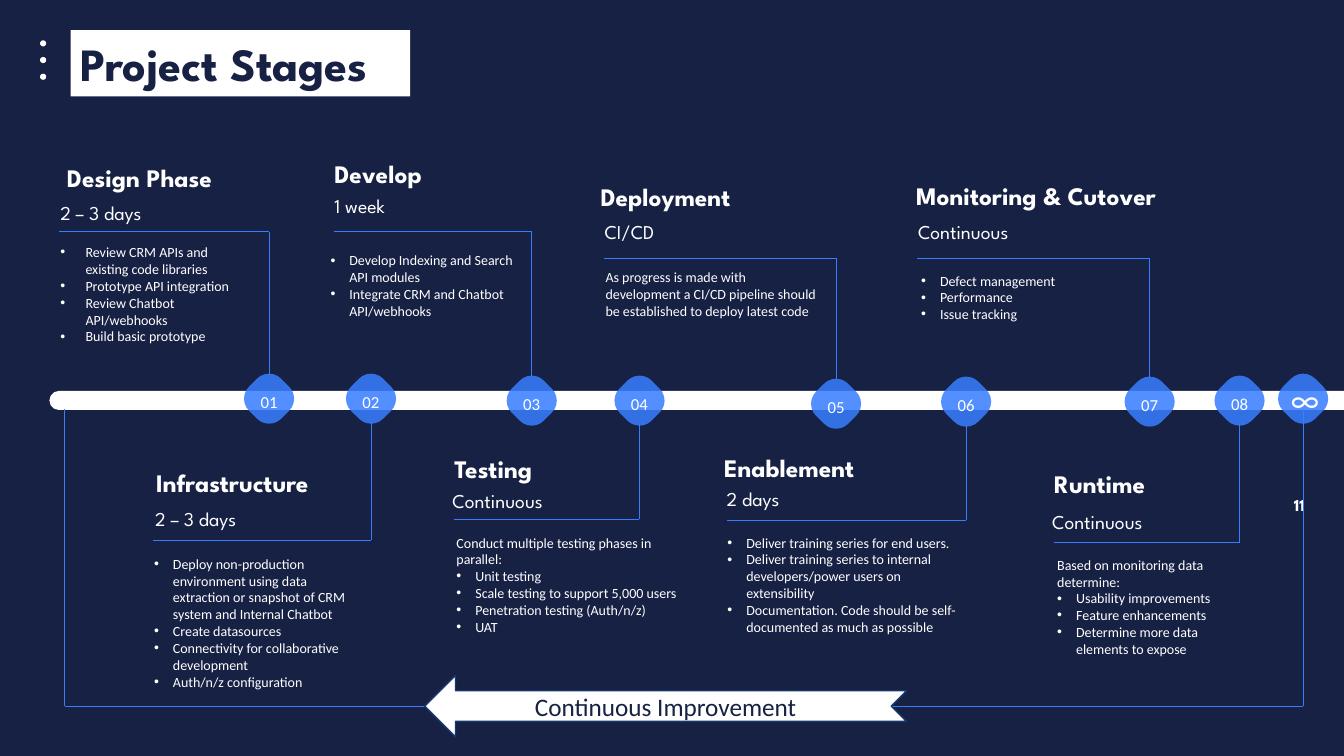
from dataclasses import dataclass
from pptx import Presentation
from pptx.dml.color import RGBColor as RGB
from pptx.enum.shapes import MSO_CONNECTOR as Link, MSO_SHAPE as Preset
from pptx.enum.text import MSO_ANCHOR as Anchor, PP_ALIGN as Align
from pptx.oxml.ns import qn
from pptx.util import Pt
from lxml.etree import SubElement

HEADING = "Project Stages"
LOOP_LABEL = "Continuous Improvement"
PAGE = "11"
STAGES = [
    dict(number="01", name="Design Phase", span="2 – 3 days", intro="", tasks=[
        "Review CRM APIs and existing code libraries", "Prototype API integration",
        "Review Chatbot API/webhooks", "Build basic prototype"],
        marker=(192.2, 284.8), rule=(42, 165.6), indent=18,
        name_at=(40.8, 112.6, 131.8), span_at=(36, 139.7, 81.4), body_at=(36, 170.6, 140.4, 80)),
    dict(number="02", name="Infrastructure", span="2 – 3 days", intro="", tasks=[
        "Deploy non-production environment using data extraction or snapshot of CRM system and Internal Chatbot",
        "Create datasources", "Connectivity for collaborative development", "Auth/n/z configuration"],
        marker=(265, 284.8), rule=(109.4, 385.9), indent=13.5,
        name_at=(104.4, 330.2, 134), span_at=(103.7, 358.4, 81.4), body_at=(103, 393.1, 158.4, 104.4)),
    dict(number="03", name="Develop", span="1 week", intro="", tasks=[
        "Develop Indexing and Search API modules", "Integrate CRM and Chatbot API/webhooks"],
        marker=(379.8, 286.2), rule=(238.3, 165.6), indent=13.5,
        name_at=(231.8, 109.4, 88.6), span_at=(231.8, 134.6, 63.4), body_at=(229, 176.4, 157.7, 55.4)),
    dict(number="04", name="Testing", span="Continuous",
        intro="Conduct multiple testing phases in parallel:", tasks=[
        "Unit testing", "Scale testing to support 5,000 users", "Penetration testing (Auth/n/z)", "UAT"],
        marker=(456.8, 286.2), rule=(324, 370.8), indent=13.5,
        name_at=(317.5, 320.4, 74), span_at=(316.1, 345.6, 91.4), body_at=(319, 378, 175.7, 80)),
    dict(number="05", name="Deployment", span="CI/CD",
        intro="As progress is made with development a CI/CD pipeline should be established to deploy latest code",
        tasks=[], marker=(597.2, 288.4), rule=(431.3, 184.3), indent=13.5,
        name_at=(421.9, 125.6, 122.4), span_at=(424.8, 153.4, 57.6), body_at=(425.5, 188.6, 165.6, 44)),
    dict(number="06", name="Enablement", span="2 days", intro="", tasks=[
        "Deliver training series for end users.",
        "Deliver training series to internal developers/power users on extensibility",
        "Documentation. Code should be self-documented as much as possible"],
        marker=(690.1, 286.9), rule=(519.1, 371.5), indent=13.5,
        name_at=(510.2, 319.4, 130), span_at=(511.9, 344.2, 59), body_at=(512.6, 378, 177.8, 92)),
    dict(number="07", name="Monitoring & Cutover", span="Continuous", intro="", tasks=[
        "Defect management", "Performance", "Issue tracking"],
        marker=(821.2, 286.9), rule=(655.2, 184.3), indent=13.5,
        name_at=(647.3, 125.3, 200), span_at=(648.7, 153.4, 91.4), body_at=(650.9, 190.8, 159.8, 44)),
    dict(number="08", name="Runtime", span="Continuous",
        intro="Based on monitoring data determine:", tasks=[
        "Usability improvements", "Feature enhancements", "Determine more data elements to expose"],
        marker=(885.4, 286.2), rule=(753.1, 387.4), indent=13.5,
        name_at=(745.9, 331.2, 85.7), span_at=(744.5, 360.2, 91.4), body_at=(748.1, 393.8, 137.5, 80)),
]
ENDLESS = dict(number="∞", marker=(930.8, 284.8))


@dataclass(frozen=True)
class Theme:
    navy: RGB = RGB(0x17, 0x21, 0x44)
    white: RGB = RGB(0xFF, 0xFF, 0xFF)
    blue: RGB = RGB(0x37, 0x7D, 0xFF)
    edge: RGB = RGB(0x18, 0x37, 0x70)
    display: str = "League Spartan"
    plain: str = "Calibri"
    heading: float = 33
    name: float = 18
    span: float = 14
    number: float = 12
    endless: float = 24
    body: float = 10


theme = Theme()
MARKER = 32.4
REACH = 17

deck = Presentation()
deck.slide_width, deck.slide_height = Pt(960), Pt(540)
slide = deck.slides.add_slide(deck.slide_layouts[6])
slide.background.fill.solid()
slide.background.fill.fore_color.rgb = theme.navy


def assign(target, values):
    for key, value in values.items():
        setattr(target, key, value)


def shape(preset, box, fill, alpha=None, turn=0, adjust=()):
    part = slide.shapes.add_shape(preset, *map(Pt, box))
    part.shadow.inherit = False
    part.fill.solid()
    part.fill.fore_color.rgb = fill
    part.line.fill.background()
    part.rotation = turn
    for index, value in enumerate(adjust):
        part.adjustments[index] = value
    if alpha:
        color = part.element.spPr.find(qn("a:solidFill")).find(qn("a:srgbClr"))
        SubElement(color, qn("a:alpha"), val=str(alpha * 1000))
    return part


def write(part, lines, size, face, color=theme.white, bold=False,
          align=Align.LEFT, anchor=Anchor.TOP, wrap=False, indent=0):
    frame = part.text_frame
    assign(frame, dict(word_wrap=wrap, vertical_anchor=anchor))
    for index, (words, bulleted) in enumerate(lines):
        paragraph = frame.add_paragraph() if index else frame.paragraphs[0]
        paragraph.alignment = align
        run = paragraph.add_run()
        run.text = words
        assign(run.font, dict(size=Pt(size), name=face, bold=bold))
        run.font.color.rgb = color
        if bulleted:
            props = paragraph._p.get_or_add_pPr()
            props.set("marL", str(Pt(indent)))
            props.set("indent", str(-Pt(indent)))
            SubElement(props, qn("a:buFont"), typeface="Arial")
            SubElement(props, qn("a:buChar"), char="•")


def label(box, words, size, face, **style):
    part = slide.shapes.add_textbox(*map(Pt, box))
    write(part, [(words, False)], size, face, **style)
    return part


def line(*ends):
    part = slide.shapes.add_connector(Link.STRAIGHT, *map(Pt, ends))
    part.line.color.rgb = theme.blue
    part.line.width = Pt(0.5)
    SubElement(part.element.spPr, qn("a:effectLst"))


def marker(center, number, size, box, shift):
    x, y = center
    shape(Preset.ROUNDED_RECTANGLE, (x - MARKER / 2, y - MARKER / 2, MARKER, MARKER),
          theme.blue, 86, 45, [0.374])
    width, height = box
    right, down = shift
    label((x - width / 2 + right, y - height / 2 + down, width, height),
          number, size, theme.plain, align=Align.CENTER)


for row in range(3):
    shape(Preset.OVAL, (28.6, 28.8 + 11.9 * row, 4.4, 4.4), theme.white)
page = label((921.6, 349.2, 13, 23), PAGE, theme.number, theme.display, bold=True,
             align=Align.CENTER, anchor=Anchor.MIDDLE)
assign(page.text_frame, dict(margin_left=0, margin_right=0, margin_top=Pt(2), margin_bottom=Pt(2)))

heading = shape(Preset.RECTANGLE, (50.4, 21.6, 242.6, 47.2), theme.white)
write(heading, [(HEADING, False)], theme.heading, theme.display, color=theme.navy, bold=True)

bar_left, bar_middle, bar_thick = 35.3, 286, 13.7
bar_long = 960 - bar_left
shape(Preset.ROUND_2_SAME_RECTANGLE,
      (bar_left + (bar_long - bar_thick) / 2, bar_middle - bar_long / 2, bar_thick, bar_long),
      theme.white, turn=270, adjust=[0.5, 0])

for stage in STAGES:
    x, y = stage["marker"]
    rule_left, rule_y = stage["rule"]
    marker((x, y), stage["number"], theme.number, (26.6, 21.6), (0, 2))
    line(x, y + (REACH if rule_y > y else -REACH), x, rule_y)
    line(x, rule_y, rule_left, rule_y)
    label((*stage["name_at"], 28.8), stage["name"], theme.name, theme.display,
          bold=True, anchor=Anchor.MIDDLE)
    label((*stage["span_at"], 24.5), stage["span"], theme.span, theme.display, anchor=Anchor.MIDDLE)
    lines = [(stage["intro"], False)] if stage["intro"] else []
    lines += [(task, True) for task in stage["tasks"]]
    body = slide.shapes.add_textbox(*map(Pt, stage["body_at"]))
    write(body, lines, theme.body, theme.plain, wrap=True, indent=stage["indent"])

loop_left, loop_right, loop_top, loop_bottom = 46.1, ENDLESS["marker"][0], 292.3, 504.3
line(loop_right, loop_bottom, loop_left, loop_bottom)
for side in (loop_right, loop_left):
    line(side, loop_top, side, loop_bottom)

arrow = shape(Preset.NOTCHED_RIGHT_ARROW, (303.4, 482.4, 344.2, 43.9), theme.white)
arrow.element.spPr.xfrm.set("flipH", "1")
arrow.line.color.rgb = theme.edge
arrow.line.width = Pt(1)
write(arrow, [(LOOP_LABEL, False)], theme.name, theme.plain, color=theme.navy,
      align=Align.CENTER, anchor=Anchor.MIDDLE, wrap=True)
marker(ENDLESS["marker"], ENDLESS["number"], theme.endless, (35.3, 36), (1.4, 0.4))

deck.save("out.pptx")
